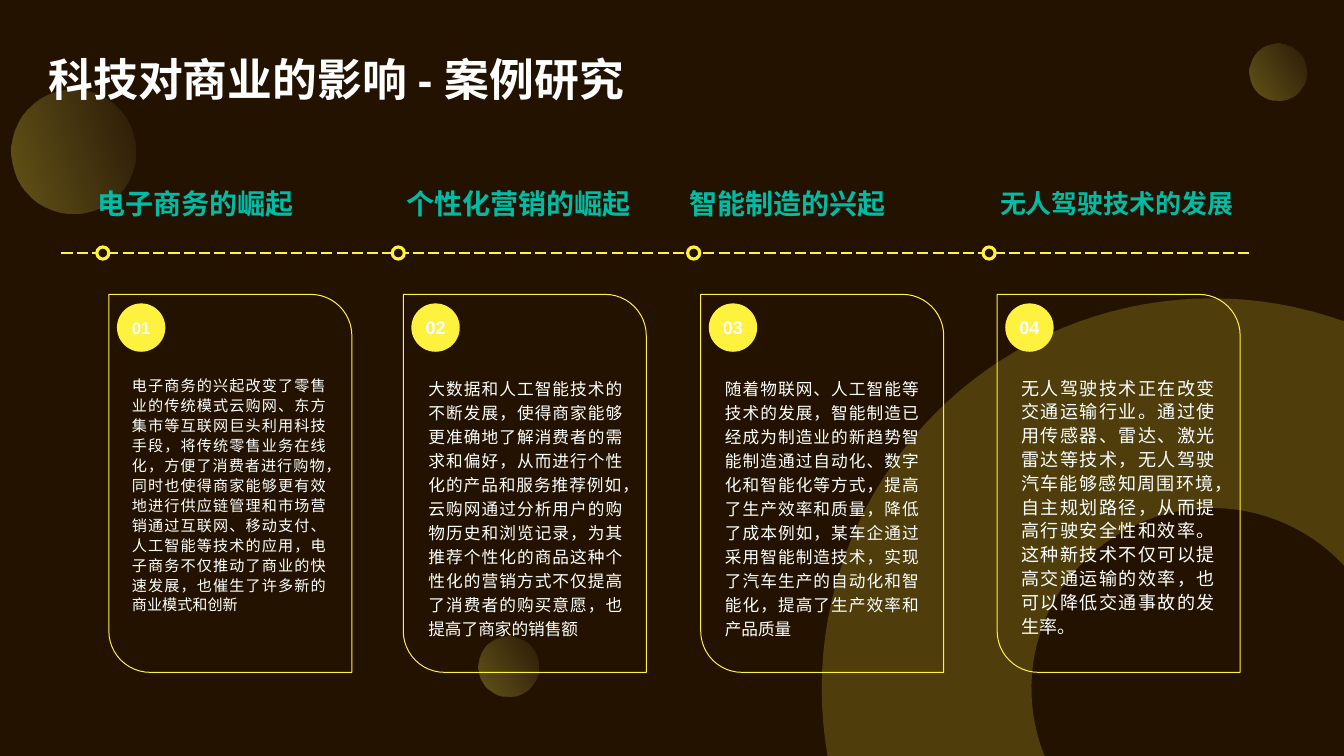
from math import acos, asin, cos, pi, sin

from lxml import etree
from pptx import Presentation
from pptx.dml.color import RGBColor
from pptx.enum.dml import MSO_LINE
from pptx.enum.shapes import MSO_CONNECTOR, MSO_SHAPE
from pptx.enum.text import MSO_ANCHOR, MSO_AUTO_SIZE, PP_ALIGN
from pptx.oxml import parse_xml
from pptx.oxml.ns import nsdecls, qn
from pptx.util import Inches, Pt

OVAL, RECT, CARD = MSO_SHAPE.OVAL, MSO_SHAPE.RECTANGLE, MSO_SHAPE.ROUND_2_DIAG_RECTANGLE
TOP, MIDDLE = MSO_ANCHOR.TOP, MSO_ANCHOR.MIDDLE
LEFT, CENTER, JUSTIFY = PP_ALIGN.LEFT, PP_ALIGN.CENTER, PP_ALIGN.JUSTIFY

# Content
TITLE = "科技对商业的影响 - 案例研究"
# heading, heading left, heading size, card left, number size, body size, line spacing, body
CASES = [
    ("电子商务的崛起", 0.87, 20, 1.08, 12, 10.8, 1.1,
     "电子商务的兴起改变了零售业的传统模式云购网、东方集市等互联网巨头利用科技手段，"
     "将传统零售业务在线化，方便了消费者进行购物，同时也使得商家能够更有效地进行供应链管理和市场营销"
     "通过互联网、移动支付、人工智能等技术的应用，电子商务不仅推动了商业的快速发展，"
     "也催生了许多新的商业模式和创新"),
    ("个性化营销的崛起", 3.93, 20, 4.0, 12.9, 11.9, 1.2,
     "大数据和人工智能技术的不断发展，使得商家能够更准确地了解消费者的需求和偏好，"
     "从而进行个性化的产品和服务推荐例如，云购网通过分析用户的购物历史和浏览记录，"
     "为其推荐个性化的商品这种个性化的营销方式不仅提高了消费者的购买意愿，也提高了商家的销售额"),
    ("智能制造的兴起", 6.74, 20, 6.95, 12.9, 11.9, 1.2,
     "随着物联网、人工智能等技术的发展，智能制造已经成为制造业的新趋势"
     "智能制造通过自动化、数字化和智能化等方式，提高了生产效率和质量，降低了成本"
     "例如，某车企通过采用智能制造技术，实现了汽车生产的自动化和智能化，提高了生产效率和产品质量"),
    ("无人驾驶技术的发展", 9.82, 18.5, 9.89, 12.9, 12.9, 1.1,
     "无人驾驶技术正在改变交通运输行业。通过使用传感器、雷达、激光雷达等技术，"
     "无人驾驶汽车能够感知周围环境，自主规划路径，从而提高行驶安全性和效率。"
     "这种新技术不仅可以提高交通运输的效率，也可以降低交通事故的发生率。"),
]
# left, top, diameter, rotation
BUBBLES = [(0.11, 0.89, 1.23, 342.5), (12.39, 0.43, 0.57, 327.7), (4.75, 6.32, 0.59, 327.7)]

COLORS = {"night": "231200", "yellow": "FFF23E", "pale": "FFF78B",
          "teal": "00BCA7", "white": "FDFFFF", "title": "FFFFFF"}
LATIN, CJK = "Arial", "Noto Sans CJK SC"
W, H = 13.33, 7.5
RING_X, RING_Y, RING_OUTER, RING_INNER = 12.02, 6.83, 3.87, 1.79
LINE_Y, DOT, DOT_LEFT, DOT_STEP = 2.51, 0.12, 0.96, 2.93
CARD_TOP, BODY_LEFT, BODY_STEP = 2.92, 1.21, 2.94


def rgb(name):
    return RGBColor.from_string(COLORS[name])


def style(s, fill=None, alpha=None, line=None, width=1):
    s.shadow.inherit = False
    if fill:
        s.fill.solid()
        s.fill.fore_color.rgb = rgb(fill)
        if alpha:
            clr = s.fill._xPr.find(".//" + qn("a:srgbClr"))
            etree.SubElement(clr, qn("a:alpha"), val=str(alpha * 1000))
    else:
        s.fill.background()
    if line:
        s.line.color.rgb = rgb(line)
        s.line.width = Pt(width)
    else:
        s.line.fill.background()


def add_shape(kind, x, y, w, h, **look):
    s = slide.shapes.add_shape(kind, *map(Inches, (x, y, w, h)))
    style(s, **look)
    return s


def write(s, text, size, color, font=CJK, bold=False, align=LEFT,
          anchor=MIDDLE, spacing=None, gap=0):
    tf = s.text_frame
    tf.word_wrap, tf.auto_size, tf.vertical_anchor = True, MSO_AUTO_SIZE.NONE, anchor
    p = tf.paragraphs[0]
    p.text, p.alignment = text, align
    p.space_before, p.space_after = Pt(0), Pt(gap)
    if spacing:
        p.line_spacing = spacing
    f = p.font
    f.size, f.bold, f.name = Pt(size), bold, font
    f.color.rgb = rgb(color)
    latin = f._element.find(qn("a:latin"))
    latin.addnext(latin.makeelement(qn("a:ea"), {"typeface": CJK}))


def add_text(x, y, w, h, *args, **look):
    write(slide.shapes.add_textbox(*map(Inches, (x, y, w, h))), *args, **look)


def arc(radius, start, end, steps=48):
    angles = (start + (end - start) * i / steps for i in range(steps + 1))
    return [(Inches(RING_X + radius * cos(a)), Inches(RING_Y - radius * sin(a)))
            for a in angles]


def ring_span(radius):
    """Angles where a circle meets the right and bottom slide edges."""
    return acos((W - RING_X) / radius), pi + asin((H - RING_Y) / radius)


prs = Presentation()
prs.slide_width, prs.slide_height = Inches(W), Inches(H)
slide = prs.slides.add_slide(prs.slide_layouts[5])
slide.background.fill.solid()
slide.background.fill.fore_color.rgb = rgb("night")

# Gradient bubbles under a dark veil
for x, y, d, turn in BUBBLES:
    s = add_shape(OVAL, x, y, d, d)
    s.rotation = turn
    grad = parse_xml(
        f'<a:gradFill rotWithShape="1" {nsdecls("a")}><a:gsLst>'
        f'<a:gs pos="0"><a:srgbClr val="{COLORS["yellow"]}"/></a:gs>'
        f'<a:gs pos="100000"><a:srgbClr val="{COLORS["pale"]}"><a:alpha val="13000"/></a:srgbClr></a:gs>'
        '</a:gsLst><a:lin ang="0" scaled="0"/></a:gradFill>')
    no_fill = s._element.spPr.find(qn("a:noFill"))
    no_fill.getparent().replace(no_fill, grad)
add_shape(RECT, 0, 0, W, H, fill="night", alpha=70)

# Ring cut off by the slide corner
right, bottom = ring_span(RING_OUTER)
inner_right, inner_bottom = ring_span(RING_INNER)
points = arc(RING_OUTER, right, bottom) + arc(RING_INNER, inner_bottom, inner_right)
builder = slide.shapes.build_freeform(*points[0])
builder.add_line_segments(points[1:], close=True)
style(builder.convert_to_shape(), fill="yellow", alpha=20)

# Timeline
line = slide.shapes.add_connector(
    MSO_CONNECTOR.STRAIGHT, *map(Inches, (0.61, LINE_Y, 12.42, LINE_Y)))
line.line.color.rgb = rgb("yellow")
line.line.width, line.line.dash_style = Pt(1), MSO_LINE.LONG_DASH
etree.SubElement(line._element.spPr, qn("a:effectLst"))

# Cases
for i, (head, head_x, head_size, card_x, num_size, size, spacing, body) in enumerate(CASES):
    add_shape(OVAL, DOT_LEFT + DOT_STEP * i, LINE_Y - DOT / 2, DOT, DOT,
              fill="night", line="yellow", width=2.25)
    card = add_shape(CARD, card_x, CARD_TOP, 2.41, 3.75, line="yellow", width=0.7)
    card.adjustments[0], card.adjustments[1] = 0, 0.17
    add_shape(OVAL, card_x + 0.08, CARD_TOP + 0.09, 0.48, 0.48, fill="yellow")
    add_text(card_x - 0.01, CARD_TOP + 0.18, 0.66, 0.3, f"{i + 1:02}", num_size, "white",
             font=LATIN, bold=True, align=CENTER)
    add_text(BODY_LEFT + BODY_STEP * i, 3.67, 2.12, 2.82, body, size, "white",
             align=JUSTIFY, anchor=TOP, spacing=spacing, gap=1)
    add_text(head_x, 1.8, 2.63, 0.44, head, head_size, "teal", bold=True)

# Title, in front of the veil
title = slide.shapes.title
title.left, title.top, title.width, title.height = map(Inches, (0.38, 0.33, 12.57, 0.79))
write(title, TITLE, 32, "title", font=LATIN, bold=True, spacing=1.2)
title._element.getparent().append(title._element)

prs.save("out.pptx")
